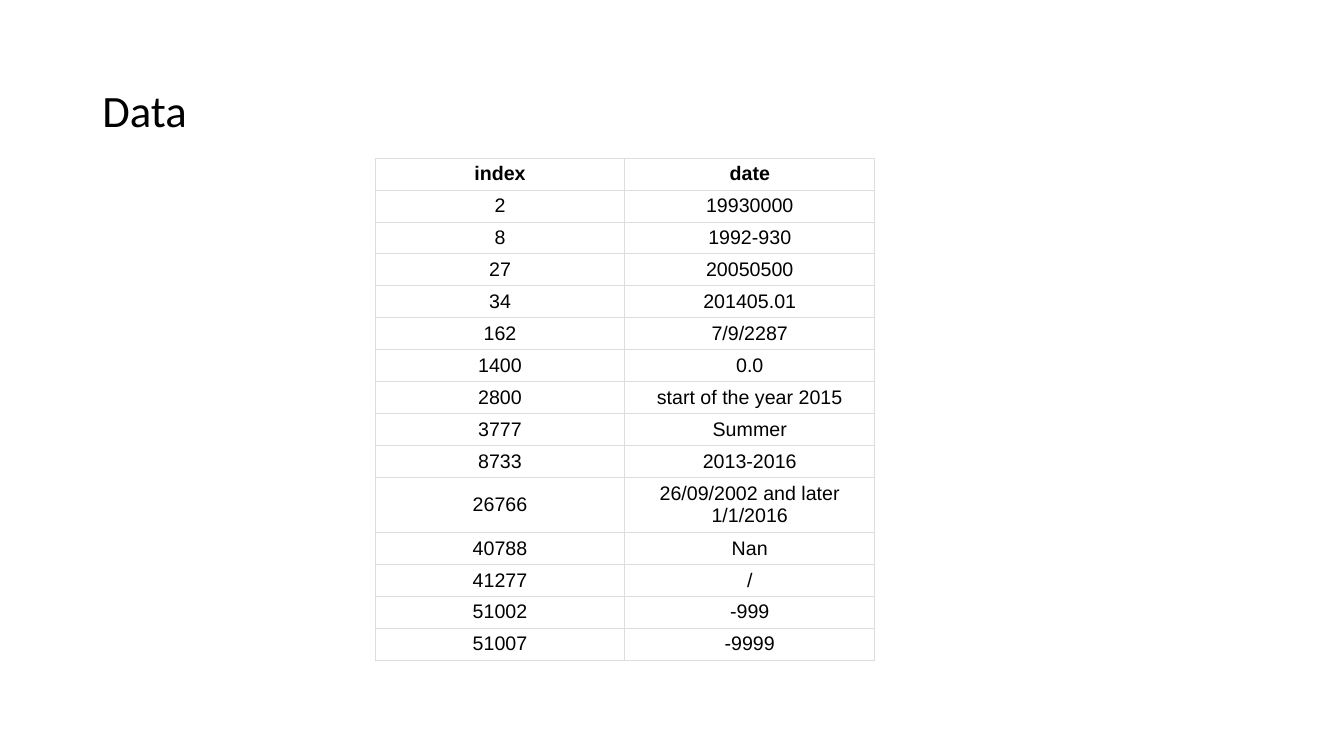
from dataclasses import dataclass

from lxml import etree
from pptx import Presentation
from pptx.dml.color import RGBColor
from pptx.enum.text import MSO_ANCHOR, PP_ALIGN
from pptx.oxml.ns import qn
from pptx.util import Pt

MIDDLE = MSO_ANCHOR.MIDDLE
LEFT, CENTER = PP_ALIGN.LEFT, PP_ALIGN.CENTER

DATE_ROWS = [
    ("index", "date"),
    ("2", "19930000"),
    ("8", "1992-930"),
    ("27", "20050500"),
    ("34", "201405.01"),
    ("162", "7/9/2287"),
    ("1400", "0.0"),
    ("2800", "start of the year 2015"),
    ("3777", "Summer"),
    ("8733", "2013-2016"),
    ("26766", "26/09/2002 and later 1/1/2016"),
    ("40788", "Nan"),
    ("41277", "/"),
    ("51002", "-999"),
    ("51007", "-9999"),
]


@dataclass(frozen=True)
class Theme:
    """Colours, fonts and type sizes of the deck."""

    ink: str = "000000"
    paper: str = "FFFFFF"
    rule: str = "DDDDDD"
    rule_width: float = 0.75
    title_font: str = "Calibri"
    title_size: int = 32
    table_font: str = "Arial"
    table_size: int = 14


class SlideBuilder:
    """Adds styled elements to the current slide."""

    def __init__(self, page, theme):
        self.page = page
        self.theme = theme

    def add_text(self, frame, text, font_format, para_format):
        """Put one formatted paragraph in a text frame."""
        para = frame.paragraphs[0]
        for name, value in para_format.items():
            setattr(para, name, value)
        span = para.add_run()
        span.text = text
        for name, value in font_format.items():
            setattr(span.font, name, value)
        span.font.color.rgb = RGBColor.from_string(self.theme.ink)

    def title(self, text, left, top, width, height):
        """Add the slide title."""
        box = self.page.shapes.add_textbox(Pt(left), Pt(top), Pt(width), Pt(height))
        frame = box.text_frame
        frame.word_wrap = True
        frame.vertical_anchor = MIDDLE
        font_format = {"name": self.theme.title_font, "size": Pt(self.theme.title_size)}
        self.add_text(frame, text, font_format, {"alignment": LEFT, "line_spacing": 0.9})

    def border(self, cell):
        """Draw a thin rule on all four sides of a cell."""
        properties = cell._tc.get_or_add_tcPr()
        for side in ("a:lnL", "a:lnR", "a:lnT", "a:lnB"):
            line = etree.SubElement(properties, qn(side), w=str(Pt(self.theme.rule_width)))
            fill = etree.SubElement(line, qn("a:solidFill"))
            etree.SubElement(fill, qn("a:srgbClr"), val=self.theme.rule)

    def table(self, rows, left, top, column_width, row_height):
        """Add a ruled table with a bold header row."""
        columns = len(rows[0])
        table = self.page.shapes.add_table(
            len(rows), columns, Pt(left), Pt(top),
            Pt(column_width * columns), Pt(row_height * len(rows)),
        ).table
        table.first_row = table.horz_banding = False
        cell_format = {
            "vertical_anchor": MIDDLE,
            "margin_left": Pt(5.76), "margin_right": Pt(5.76),
            "margin_top": Pt(2.88), "margin_bottom": Pt(2.88),
        }
        for row_number, values in enumerate(rows):
            font_format = {
                "name": self.theme.table_font,
                "size": Pt(self.theme.table_size),
                "bold": row_number == 0,
            }
            for column_number, text in enumerate(values):
                cell = table.cell(row_number, column_number)
                for name, value in cell_format.items():
                    setattr(cell, name, value)
                self.border(cell)
                cell.fill.solid()
                cell.fill.fore_color.rgb = RGBColor.from_string(self.theme.paper)
                self.add_text(cell.text_frame, text, font_format, {"alignment": CENTER})


def main():
    """Build the data slide and save the deck."""
    deck = Presentation()
    deck.slide_width, deck.slide_height = Pt(960), Pt(540)
    page = deck.slides.add_slide(deck.slide_layouts[6])
    builder = SlideBuilder(page, Theme())
    builder.title("Data", 66, 28.75, 828, 104.4)
    builder.table(DATE_ROWS, 268, 113, 178.4, 22.8)
    deck.save("out.pptx")


if __name__ == "__main__":
    main()
